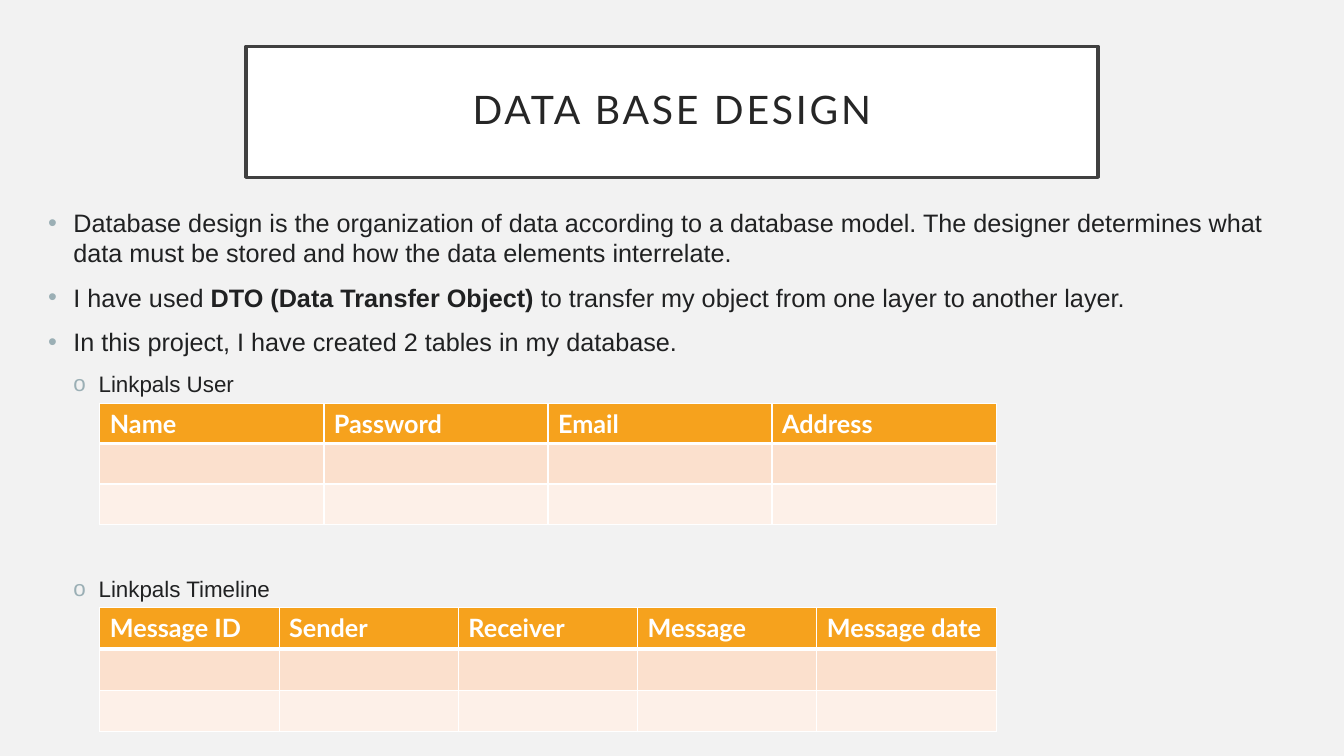
"""Build the data base design slide with its bullets and two tables."""
from lxml import etree
from pptx import Presentation
from pptx import util as u
from pptx.dml.color import RGBColor
from pptx.enum import shapes, text
from pptx.oxml.ns import qn

PAPER = RGBColor(0xF2, 0xF2, 0xF2)
WHITE = RGBColor(0xFF, 0xFF, 0xFF)
FRAME = RGBColor(0x40, 0x40, 0x40)
TITLE = RGBColor(0x26, 0x26, 0x26)
INK = RGBColor(0x20, 0x21, 0x22)
MARK = RGBColor(0x9B, 0xAF, 0xB5)
HEAD = RGBColor(0xF6, 0xA2, 0x1D)
BANDS = [HEAD, RGBColor(0xFB, 0xE0, 0xCD), RGBColor(0xFD, 0xF0, 0xE8)]

HEADING = "DATA BASE DESIGN"
LEVELS = [("•", 18), ("o", 16)]
POINTS = [
    (0, 10, [("Database design\u00a0is the organization of data according to a\u00a0database model. "
              "The designer determines what data must be stored and how the data elements "
              "interrelate. ", False)]),
    (0, 10, [("I have used ", False), ("DTO (Data Transfer Object)", True),
             (" to transfer my object from one layer to another layer.", False)]),
    (0, 10, [("In this project, I have created 2 tables in my database.", False)]),
    (1, 10, [("Linkpals User", False)]),
    (1, 127.3, [("Linkpals Timeline", False)]),
]
TABLES = [
    (4, 0.4, ["Name", "Password", "Email", "Address"]),
    (6.03, 0.41, ["Message ID", "Sender", "Receiver ", "Message", "Message date"]),
]
LEFT, WIDE = 0.99, 8.89


def write(para, words, size, font, color, bold=False):
    run = para.add_run()
    run.text = words
    run.font.size, run.font.name, run.font.bold = u.Pt(size), font, bold
    run.font.color.rgb = color
    return run


def tint(node, tag, color):
    part = etree.SubElement(node, qn(tag))
    etree.SubElement(part, qn("a:srgbClr"), val=str(color))


def bullet(para, level, sign):
    props = para._p.get_or_add_pPr()
    props.set("marL", str(u.Inches(0.25 * (level + 1))))
    props.set("indent", str(u.Inches(-0.25)))
    tint(props, "a:buClr", MARK)
    etree.SubElement(props, qn("a:buFont"), typeface="Arial")
    etree.SubElement(props, qn("a:buChar"), char=sign)


def edge(cell, row):
    props = cell._tc.get_or_add_tcPr()
    for side in "LRTB":
        thick = (side, row) in (("B", 0), ("T", 1))
        line = etree.SubElement(props, qn("a:ln" + side), w=str(u.Pt(3 if thick else 1)))
        tint(line, "a:solidFill", WHITE)


def grid(slide, top, high, heads):
    count = len(heads)
    table = slide.shapes.add_table(len(BANDS), count, u.Inches(LEFT), u.Inches(top),
                                   u.Inches(WIDE), u.Inches(high * len(BANDS))).table
    table.horz_banding = False
    for col in table.columns:
        col.width = u.Inches(WIDE / count)
    for row, band in enumerate(BANDS):
        table.rows[row].height = u.Inches(high)
        for col, head in enumerate(heads):
            cell = table.cell(row, col)
            edge(cell, row)
            cell.fill.solid()
            cell.fill.fore_color.rgb = band
            if row == 0:
                write(cell.text_frame.paragraphs[0], head, 18, "Lato", WHITE, True)


deck = Presentation()
deck.slide_width, deck.slide_height = u.Inches(13.33), u.Inches(7.5)
slide = deck.slides.add_slide(deck.slide_layouts[6])
slide.background.fill.solid()
slide.background.fill.fore_color.rgb = PAPER

box = slide.shapes.add_shape(shapes.MSO_SHAPE.RECTANGLE, u.Inches(2.44), u.Inches(0.46),
                             u.Inches(8.45), u.Inches(1.3))
box.shadow.inherit = False
box.fill.solid()
box.fill.fore_color.rgb = WHITE
box.line.color.rgb, box.line.width = FRAME, u.Pt(2.5)
box.text_frame.vertical_anchor = text.MSO_ANCHOR.MIDDLE
para = box.text_frame.paragraphs[0]
para.alignment, para.line_spacing = text.PP_ALIGN.CENTER, 0.9
run = write(para, HEADING, 28, "Lato", TITLE)
run._r.get_or_add_rPr().set("spc", "200")

body = slide.shapes.add_textbox(u.Inches(0.38), u.Inches(2.01),
                                u.Inches(12.46), u.Inches(5.26)).text_frame
body.word_wrap = True
for i, (level, gap, runs) in enumerate(POINTS):
    para = body.add_paragraph() if i else body.paragraphs[0]
    para.level, para.space_before = level, u.Pt(gap)
    sign, size = LEVELS[level]
    bullet(para, level, sign)
    for words, bold in runs:
        write(para, words, size, "Arial", INK, bold)

for top, high, heads in TABLES:
    grid(slide, top, high, heads)

deck.save("out.pptx")
